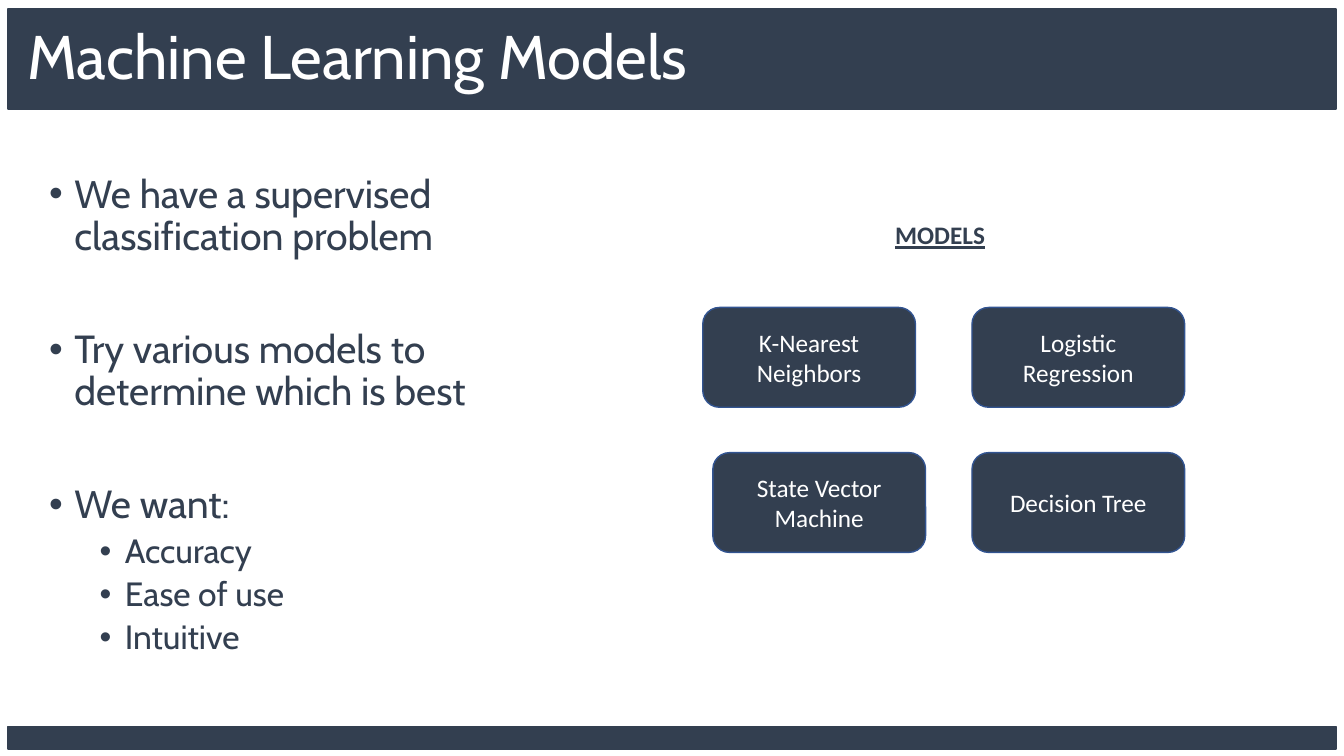
from lxml.etree import SubElement
from pptx import Presentation
from pptx.dml.color import RGBColor
from pptx.enum.shapes import MSO_SHAPE as Shape
from pptx.enum.text import MSO_ANCHOR as Anchor, PP_ALIGN as Align
from pptx.oxml.ns import qn
from pptx.util import Emu, Pt

PX = 9144  # 100 px to the inch
NAVY, BLUE, WHITE = "333F50", "325491", "FFFFFF"

TITLE = "Machine Learning Models"
# text, level, space before in points
BULLETS = [
    ("We have a supervised classification problem", 0, 10),
    ("Try various models to determine which is best", 0, 50.5),
    ("We want:", 0, 50.5),
    ("Accuracy", 1, 5),
    ("Ease of use", 1, 5),
    ("Intuitive", 1, 5),
]
LEVELS = [(28, 25), (24, 75)]  # text size in points, left margin in px
HANGING = 25

MODELS_HEADING = "MODELS"
# rows of (name, left)
MODEL_ROWS = [
    [("K-Nearest Neighbors", 697), ("Logistic Regression", 964)],
    [("State Vector Machine", 707), ("Decision Tree", 964)],
]
MODEL_TOP, MODEL_PITCH = 305, 144
MODEL_WIDTH, MODEL_HEIGHT = 211, 99
BANDS = [(9, 99), (721, 22)]  # top, height


def px(*lengths):
    return [Emu(length * PX) for length in lengths]


def rgb(color):
    return RGBColor.from_string(color)


def add_run(paragraph, text, size, font, color):
    run = paragraph.add_run()
    run.text = text
    run.font.size = Pt(size)
    run.font.name = font
    run.font.color.rgb = rgb(color)
    return run


def add_box(slide, preset, box, line):
    shape = slide.shapes.add_shape(preset, *px(*box))
    shape.shadow.inherit = False
    shape.fill.solid()
    shape.fill.fore_color.rgb = rgb(NAVY)
    shape.line.color.rgb = rgb(line)
    shape.line.width = Pt(1)
    return shape


def add_text_frame(slide, box):
    frame = slide.shapes.add_textbox(*px(*box)).text_frame
    frame.word_wrap = True
    return frame


def set_bullet(paragraph, margin):
    properties = paragraph._p.get_or_add_pPr()
    left, hanging = px(margin, HANGING)
    properties.set("marL", str(left))
    properties.set("indent", str(-hanging))
    SubElement(properties, qn("a:buFont")).set("typeface", "Arial")
    SubElement(properties, qn("a:buChar")).set("char", "•")


def add_bullets(slide):
    frame = add_text_frame(slide, (39, 168, 544, 476))
    for index, (text, level, space) in enumerate(BULLETS):
        paragraph = frame.add_paragraph() if index else frame.paragraphs[0]
        size, margin = LEVELS[level]
        paragraph.level = level
        paragraph.line_spacing = 0.9
        paragraph.space_before = Pt(space)
        set_bullet(paragraph, margin)
        add_run(paragraph, text, size, "Cabin", NAVY)


def add_models(slide):
    for row, models in enumerate(MODEL_ROWS):
        top = MODEL_TOP + row * MODEL_PITCH
        for name, left in models:
            box = (left, top, MODEL_WIDTH, MODEL_HEIGHT)
            frame = add_box(slide, Shape.ROUNDED_RECTANGLE, box, BLUE).text_frame
            frame.word_wrap = True
            frame.vertical_anchor = Anchor.MIDDLE
            paragraph = frame.paragraphs[0]
            paragraph.alignment = Align.CENTER
            add_run(paragraph, name, 18, "Calibri", WHITE)

    heading = add_text_frame(slide, (878, 213, 111, 40)).paragraphs[0]
    run = add_run(heading, MODELS_HEADING, 18, "Calibri", NAVY)
    run.font.bold = True
    run.font.underline = True


def main():
    presentation = Presentation()
    presentation.slide_width, presentation.slide_height = px(1333, 750)
    slide = presentation.slides.add_slide(presentation.slide_layouts[6])

    for top, height in BANDS:
        add_box(slide, Shape.RECTANGLE, (8, top, 1317, height), NAVY)

    title = add_text_frame(slide, (17, 16, 1150, 87))
    title.vertical_anchor = Anchor.MIDDLE
    title.paragraphs[0].line_spacing = 0.9
    add_run(title.paragraphs[0], TITLE, 44, "Cabin", WHITE)

    add_bullets(slide)
    add_models(slide)
    presentation.save("out.pptx")


if __name__ == "__main__":
    main()
